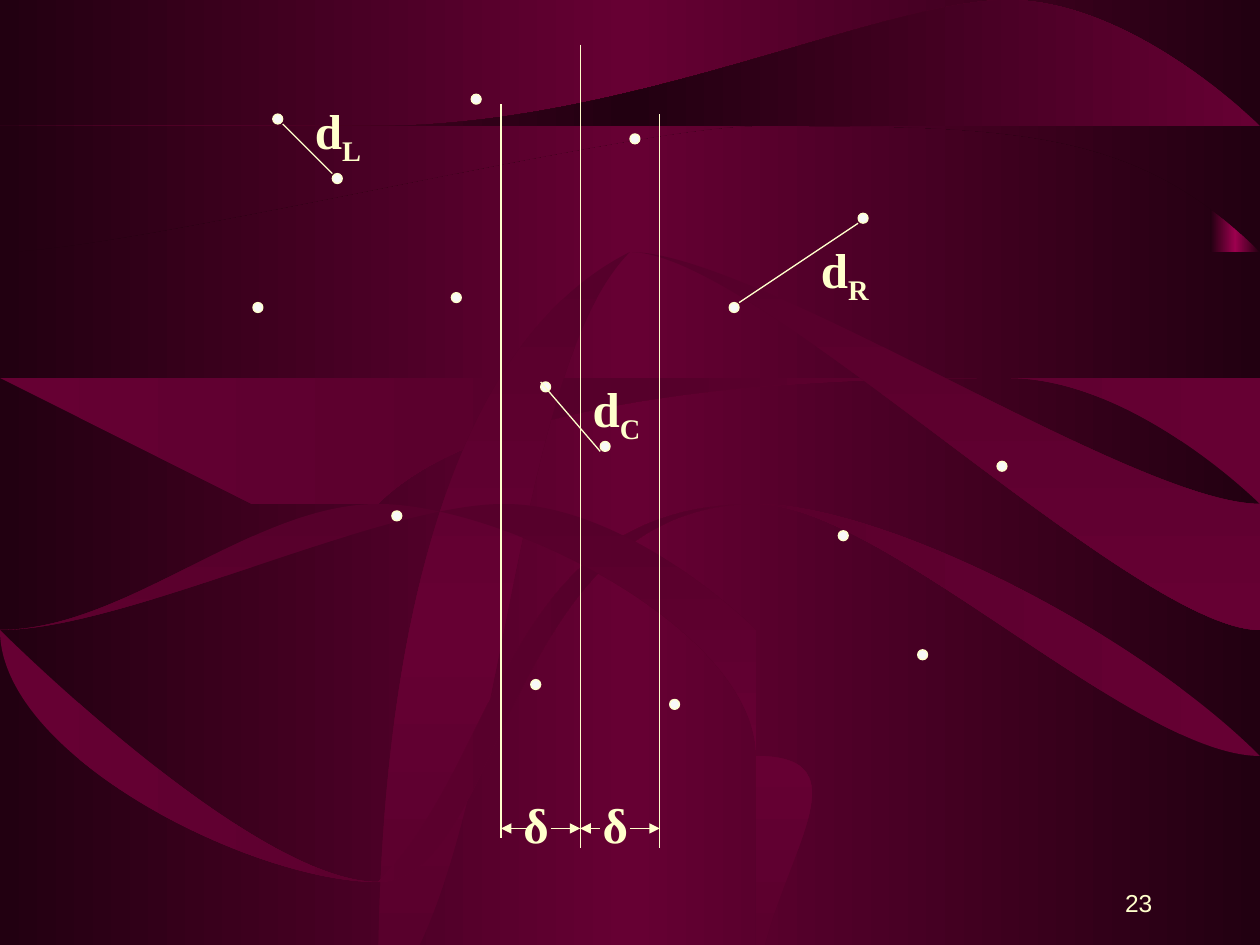
from collections import namedtuple

from lxml.etree import SubElement
from pptx import Presentation
from pptx.dml.color import RGBColor
from pptx.enum.shapes import MSO_CONNECTOR, MSO_SHAPE
from pptx.enum.text import MSO_ANCHOR, MSO_AUTO_SIZE, PP_ALIGN
from pptx.oxml.ns import qn
from pptx.util import Cm, Pt

Box = namedtuple("Box", "left top width height")

COLORS = {
    "dark": "220011",
    "wine": "660033",
    "shade": "56002B",
    "glow": "9C004E",
    "cream": "FFFFCC",
    "point": "F8F8F8",
}

RIBBONS = [
    ("dark", "wine", 0,
     [(0, 0), (10, 0)],
     [(10, 1.52), (6.25, 1.32), (0, 2.11)]),
    ("dark", "wine", 0,
     [(0, 2.28), (4.58, 1.74), (5.86, 1.55), (10, 1.89)],
     [(10, 7.5), (0, 7.5)]),
    ("wine", "dark", 0,
     [(0, 1.02), (3.08, 1.09), (7.94, 0.62), (10, 1.25)],
     [(10, 0.6), (7.92, 0.37), (3.45, 0.9), (0, 0.6)]),
    ("wine", "shade", 0,
     [(0, 3.34), (2.22, 3.75), (2.82, 3.64), (7.8, 2.83), (10, 3.68)],
     [(10, 3.03), (7.01, 2.69), (1.9, 3.38), (0, 3.06)]),
    ("shade", "wine", 90,
     [(2.71, 7.5), (4.54, 2.18), (10, 4.42)],
     [(10, 5.19), (4.79, 2.43), (3.31, 7.5)]),
    ("wine", "shade", 0,
     [(0, 5.49), (2.69, 6.92), (5.65, 4.38), (10, 6.43)],
     [(10, 5.76), (5.62, 3.91), (2.73, 6.67), (0, 5.16)]),
    ("shade", "wine", 90,
     [(0, 4.77), (3.14, 4.28), (6.37, 5.72), (5.83, 7.5)],
     [(6.42, 5.32), (3.66, 4.01), (0, 4.61)]),
]

POINTS = [
    (0.4, 1.4), (0, 5.2), (1.6, 2.6), (12.2, 3.4), (4.4, 1), (2.8, 9.4),
    (4, 5), (9.6, 5.2), (5.6, 12.8), (5.8, 6.8), (8.4, 13.2), (7, 8),
    (15, 8.4), (7.6, 1.8), (11.8, 9.8), (13.4, 12.2),
]
PAIRS = [
    ("L", (0.6, 1.6, 1.6, 2.6), (1, 1)),
    ("R", (12.2, 3.6, 9.8, 5.2), (11.2, 3.8)),
    ("C", (5.8, 6.8, 7, 8.2), (6.6, 6.6)),
]
DIVIDER, DELTA, ARROW_Y = 6.6, 1.6, 15.8


def color(name):
    return RGBColor.from_string(COLORS[name])


def paint_gradient(fill, owner, edge, middle, angle=0):
    fill.gradient()
    fill.gradient_angle = angle
    stops = next(owner.iter(qn("a:gsLst")))
    for stop in list(stops):
        stops.remove(stop)
    for position, name in ((0, edge), (50000, middle), (100000, edge)):
        stop = SubElement(stops, qn("a:gs"), pos=str(position))
        SubElement(stop, qn("a:srgbClr"), val=COLORS[name])


def finish_backdrop_shape(shape, edge, middle, angle=0):
    shape.shadow.inherit = False
    shape.line.fill.background()
    paint_gradient(shape.fill, shape.element, edge, middle, angle)


def smooth_curves(knots):
    padded = [knots[0], *knots, knots[-1]]
    for before, start, end, after in zip(padded, padded[1:], padded[2:], padded[3:]):
        leave = tuple(s + (e - b) / 6 for b, s, e in zip(before, start, end))
        arrive = tuple(e - (a - s) / 6 for s, e, a in zip(start, end, after))
        yield [leave, arrive, end]


def add_ribbon(page, box, forward, back):
    builder = page.shapes.build_freeform(*forward[0], scale=box.width / 10)
    segments = [*smooth_curves(forward), [back[0]], *smooth_curves(back)]
    for segment in segments:
        builder.add_line_segments(segment, close=False)
    builder.add_line_segments([], close=True)
    ribbon = builder.convert_to_shape(box.left, box.top)
    outline = next(ribbon.element.iter(qn("a:path")))
    corners = iter(outline.findall(qn("a:lnTo")))
    for segment in segments:
        group = [next(corners) for _ in segment]
        if len(group) == 3:
            curve = SubElement(outline, qn("a:cubicBezTo"))
            group[0].addprevious(curve)
            for corner in group:
                curve.append(corner[0])
                outline.remove(corner)
    return ribbon


def add_backdrop(page, box):
    paint_gradient(page.background.fill, page.element, "dark", "wine")
    glow = page.shapes.add_shape(
        MSO_SHAPE.RECTANGLE, box.left + box.width - Cm(1), box.top + Cm(1.25),
        Cm(1), Cm(8.76))
    finish_backdrop_shape(glow, "dark", "glow")
    for edge, middle, angle, forward, back in RIBBONS:
        ribbon = add_ribbon(page, box, forward, back)
        finish_backdrop_shape(ribbon, edge, middle, angle)


def add_span(para, text, size, font, bold=False):
    span = para.add_run()
    span.text = text
    span.font.size = Pt(size)
    span.font.name = font
    span.font.bold = bold
    span.font.color.rgb = color("cream")
    return span


def add_label(page, box, x, y, width, height, text, subscript="", wrap=True):
    label = page.shapes.add_textbox(
        box.left + Cm(x), box.top + Cm(y), Cm(width), Cm(height))
    label.text_frame.word_wrap = wrap
    label.text_frame.auto_size = MSO_AUTO_SIZE.SHAPE_TO_FIT_TEXT
    para = label.text_frame.paragraphs[0]
    add_span(para, text, 28, "Times New Roman", True)
    if subscript:
        span = add_span(para, subscript, 28, "Times New Roman", True)
        span.font._element.set("baseline", "-25000")


def add_line(page, box, x1, y1, x2, y2, arrow=False):
    line = page.shapes.add_connector(
        MSO_CONNECTOR.STRAIGHT, box.left + Cm(x1), box.top + Cm(y1),
        box.left + Cm(x2), box.top + Cm(y2))
    line.line.color.rgb = color("cream")
    line.line.width = Pt(0.75)
    if arrow:
        SubElement(line.element.spPr.find(qn("a:ln")), qn("a:tailEnd"), type="triangle")
    SubElement(line.element.spPr, qn("a:effectLst"))


def add_closest_pair(page, box):
    for x, y in POINTS:
        dot = page.shapes.add_shape(
            MSO_SHAPE.OVAL, box.left + Cm(x), box.top + Cm(y), Cm(0.2), Cm(0.2))
        dot.shadow.inherit = False
        dot.fill.solid()
        dot.fill.fore_color.rgb = color("point")
        dot.line.color.rgb = color("cream")
        dot.line.width = Pt(0.75)
    for x, top, bottom in ((DIVIDER, 0, 16.2), (DIVIDER - DELTA, 1.2, 16),
                           (DIVIDER + DELTA, 1.4, 16.2)):
        add_line(page, box, x, top, x, bottom)
    for side, ends, (x, y) in PAIRS:
        add_line(page, box, *ends)
        add_label(page, box, x, y, 2, 1.6, "d", side)
    for left, stub in ((DIVIDER - DELTA, 0.6), (DIVIDER, 0.4)):
        right = left + DELTA
        add_label(page, box, left + 0.2, 15, 1.02, 1.45, "δ", wrap=False)
        add_line(page, box, left + stub, ARROW_Y, left, ARROW_Y, True)
        add_line(page, box, right - 0.6, ARROW_Y, right, ARROW_Y, True)


def add_page_number(page, box):
    number = page.shapes.add_textbox(*box)
    number.text_frame.word_wrap = True
    number.text_frame.vertical_anchor = MSO_ANCHOR.BOTTOM
    para = number.text_frame.paragraphs[0]
    para.alignment = PP_ALIGN.RIGHT
    add_span(para, "23", 14, "Arial")


def main():
    deck = Presentation()
    deck.slide_width, deck.slide_height = Cm(25.4), Cm(19.05)
    page = deck.slides.add_slide(deck.slide_layouts[6])
    add_backdrop(page, Box(0, 0, deck.slide_width, deck.slide_height))
    add_page_number(page, Box(Cm(18.2), Cm(17.35), Cm(5.28), Cm(1.27)))
    add_closest_pair(page, Box(Cm(5.1), Cm(0.9), Cm(15.2), Cm(16.2)))
    deck.save("out.pptx")


if __name__ == "__main__":
    main()
